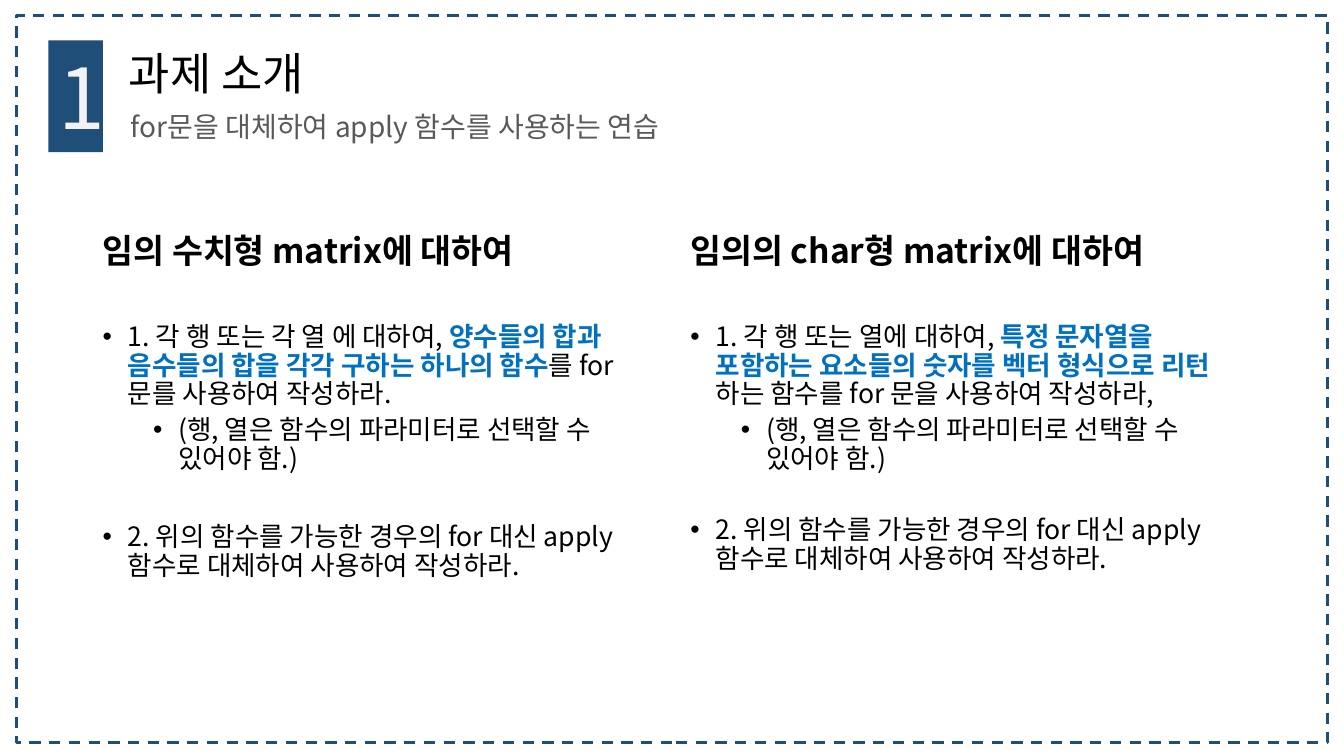
from lxml.etree import SubElement
from pptx import Presentation
from pptx.dml.color import RGBColor
from pptx.enum.dml import MSO_LINE
from pptx.enum.shapes import MSO_SHAPE
from pptx.enum.text import MSO_ANCHOR, MSO_AUTO_SIZE, PP_ALIGN
from pptx.oxml.ns import qn
from pptx.util import Inches, Pt

FONT = "Noto Sans CJK KR"
NAVY, BLUE, BLACK, GRAY, PALE = "1F4E79", "0070C0", "000000", "595959", "F2F2F2"
HEADING_HEIGHT = 0.9
BODY_SIZE = 19
BLANK_LINE = 20.5  # points

SELECT_NOTE = "(행, 열은 함수의 파라미터로 선택할 수 있어야 함.)"
APPLY_TASK = "2. 위의 함수를 가능한 경우의 for 대신 apply 함수로 대체하여 사용하여 작성하라."

# Each column: box, heading, first task as (text, highlighted), gap before second task
COLUMNS = [
    ((0.92, 1.84, 5.64, 4.93), "임의 수치형 matrix에 대하여",
     [("1. 각 행 또는 각 열 에 대하여, ", False),
      ("양수들의 합과 음수들의 합을 각각 구하는 하나의 함수", True),
      ("를 for 문를 사용하여 작성하라.", False)], 15 + BLANK_LINE),
    ((6.75, 1.84, 5.67, 4.93), "임의의 char형 matrix에 대하여",
     [("1. 각 행 또는 열에 대하여, ", False),
      ("특정 문자열을 포함하는 요소들의 숫자를 벡터 형식으로 리턴 ", True),
      ("하는 함수를 for 문을 사용하여 작성하라,", False)], 10 + BLANK_LINE),
]


def color(hex_value):
    return RGBColor.from_string(hex_value)


def format_run(run, size, hex_value, bold=False):
    run.font.size = Pt(size)
    run.font.bold = bold
    run.font.name = FONT
    run.font.color.rgb = color(hex_value)
    SubElement(run.font._element, qn("a:ea"), typeface=FONT)


def add_text_box(slide, left, top, width, height, wrap=True):
    shape = slide.shapes.add_textbox(*map(Inches, (left, top, width, height)))
    shape.text_frame.word_wrap = wrap
    return shape.text_frame


def add_rectangle(slide, left, top, width, height):
    shape = slide.shapes.add_shape(
        MSO_SHAPE.RECTANGLE, *map(Inches, (left, top, width, height)))
    shape.shadow.inherit = False
    return shape


def set_line(text_frame, text, size, hex_value):
    text_frame.word_wrap = False
    text_frame.auto_size = MSO_AUTO_SIZE.SHAPE_TO_FIT_TEXT
    paragraph = text_frame.paragraphs[0]
    paragraph.text = text
    paragraph.alignment = PP_ALIGN.LEFT
    format_run(paragraph.runs[0], size, hex_value)


def add_bullet(paragraph, parts, level, space_before):
    paragraph.level = level
    paragraph.line_spacing = 0.9
    paragraph.space_before = Pt(space_before)
    properties = paragraph._p.get_or_add_pPr()
    properties.set("marL", str(Inches(0.25 + 0.5 * level)))
    properties.set("indent", str(Inches(-0.25)))
    SubElement(properties, qn("a:buFont"), typeface="Arial")
    SubElement(properties, qn("a:buChar"), char="•")
    for text, highlighted in parts:
        run = paragraph.add_run()
        run.text = text
        format_run(run, BODY_SIZE, BLUE if highlighted else BLACK, highlighted)


def add_header(slide, left, top):
    # Number block, subtitle and title
    block = add_rectangle(slide, left, top, 0.54, 1.11)
    block.fill.solid()
    block.fill.fore_color.rgb = color(NAVY)
    block.line.fill.background()
    block.text_frame.vertical_anchor = MSO_ANCHOR.TOP
    set_line(block.text_frame, "1", 60, PALE)
    subtitle = add_text_box(slide, left + 0.72, top + 0.64, 5.95, 0.44, wrap=False)
    set_line(subtitle, "for문을 대체하여 apply 함수를 사용하는 연습", 20, GRAY)
    title = add_text_box(slide, left + 0.7, top, 2.15, 0.64, wrap=False)
    set_line(title, "과제 소개", 32, BLACK)


def add_frame(slide, left, top, width, height):
    frame = add_rectangle(slide, left, top, width, height)
    frame.fill.background()
    frame.line.color.rgb = color(NAVY)
    frame.line.width = Pt(2)
    frame.line.dash_style = MSO_LINE.DASH


def add_column(slide, box, heading, first_task, task_gap):
    left, top, width, height = box
    # Heading
    heading_frame = add_text_box(slide, left, top, width, HEADING_HEIGHT)
    heading_frame.vertical_anchor = MSO_ANCHOR.BOTTOM
    paragraph = heading_frame.paragraphs[0]
    paragraph.text = heading
    paragraph.line_spacing = 0.9
    format_run(paragraph.runs[0], 24, BLACK, bold=True)
    # Tasks
    body = add_text_box(slide, left, top + HEADING_HEIGHT, width, height - HEADING_HEIGHT)
    body.margin_top = Inches(0.47)
    add_bullet(body.paragraphs[0], first_task, 0, 0)
    add_bullet(body.add_paragraph(), [(SELECT_NOTE, False)], 1, 5)
    add_bullet(body.add_paragraph(), [(APPLY_TASK, False)], 0, task_gap)


def main():
    presentation = Presentation()
    presentation.slide_width = Inches(13.33)
    presentation.slide_height = Inches(7.5)
    slide = presentation.slides.add_slide(presentation.slide_layouts[6])
    add_header(slide, 0.48, 0.4)
    add_frame(slide, 0.16, 0.15, 13.01, 7.22)
    for column in COLUMNS:
        add_column(slide, *column)
    presentation.save("out.pptx")


if __name__ == "__main__":
    main()
